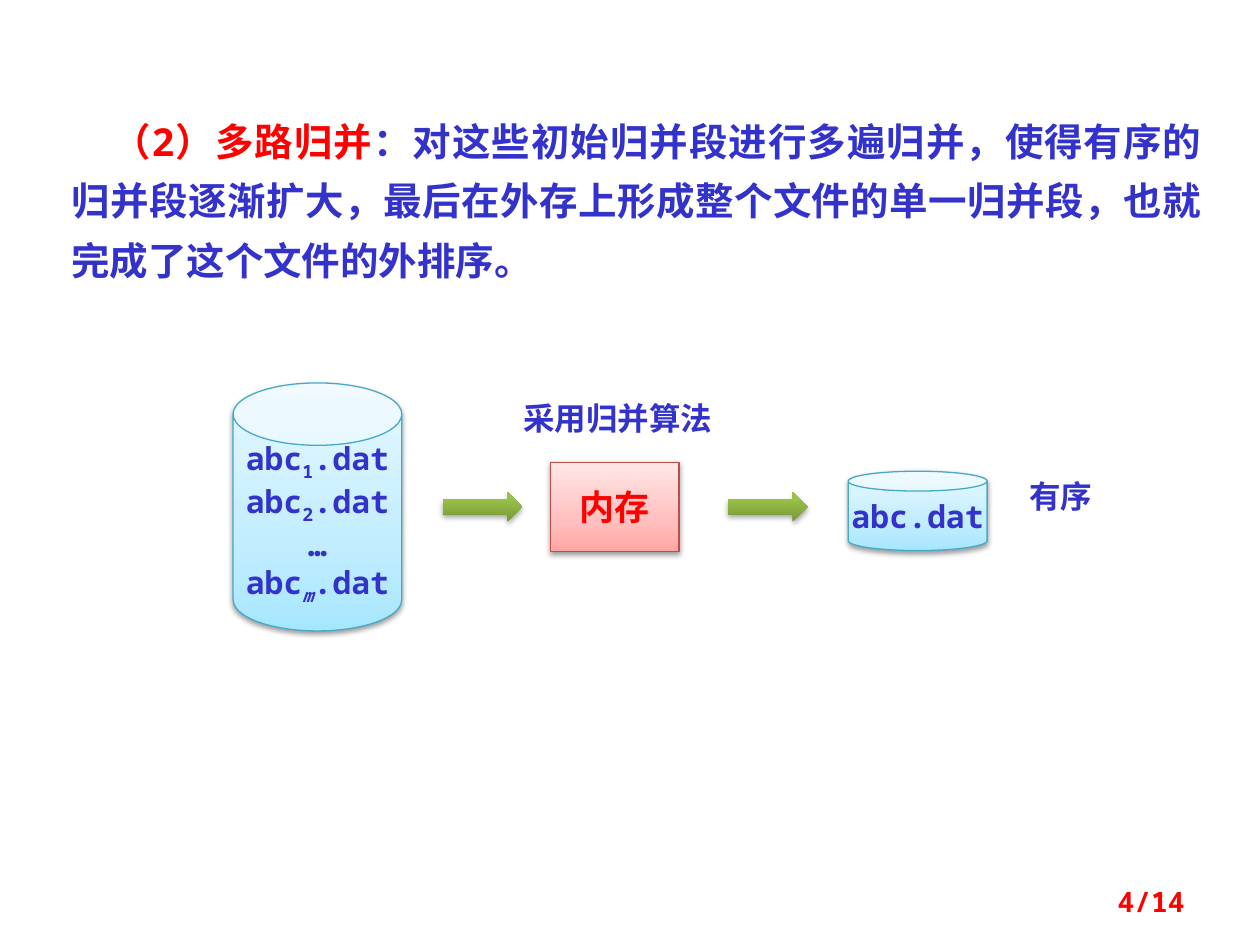
from lxml import etree
from pptx import Presentation
from pptx import util as u
from pptx.dml.color import RGBColor
from pptx.enum import shapes, text
from pptx.oxml import ns

FONT = "Noto Sans Mono"
COLORS = {"blue": "3333CC", "red": "FF0000", "memory_line": "BF4C48", "disk_line": "46AAC5"}
GRADIENTS = {
    "memory": [(0, "FFA6A5"), (35, "FFC0BF"), (100, "FFE7E7")],
    "disk": [(0, "A7E6FF"), (35, "C1EDFF"), (100, "E7F8FF")],
    "arrow": [(0, "779737"), (80, "9BC348"), (100, "9DC746")],
}


def add_span(para, content, size=18, color="blue", italic=False, baseline=0):
    span = para.add_run()
    span.text = content
    span.font.size = u.Pt(size)
    span.font.bold = True
    span.font.italic = italic
    span.font.name = FONT
    span.font.color.rgb = RGBColor.from_string(COLORS[color])
    properties = span.font._element
    etree.SubElement(properties, ns.qn("a:ea"), typeface=FONT)
    if baseline:
        properties.set("baseline", str(baseline * 1000))


def add_solid(page, kind, place, gradient, line=None, alpha=38, distance=20000):
    solid = page.shapes.add_shape(kind, *[u.Cm(n) for n in place])
    solid.fill.gradient()
    solid.fill.gradient_angle = 90
    properties = solid._element.spPr
    stops = properties.find(".//" + ns.qn("a:gsLst"))
    for stop in list(stops):
        stops.remove(stop)
    for position, color in GRADIENTS[gradient]:
        stop = etree.SubElement(stops, ns.qn("a:gs"), pos=str(position * 1000))
        etree.SubElement(stop, ns.qn("a:srgbClr"), val=color)
    if line:
        solid.line.color.rgb = RGBColor.from_string(COLORS[line])
        solid.line.width = u.Pt(0.75)
    else:
        solid.line.fill.background()
    solid.shadow.inherit = False
    shadow = etree.SubElement(
        properties.find(ns.qn("a:effectLst")), ns.qn("a:outerShdw"),
        blurRad="40000", dist=str(distance), dir="5400000", rotWithShape="0")
    black = etree.SubElement(shadow, ns.qn("a:srgbClr"), val="000000")
    etree.SubElement(black, ns.qn("a:alpha"), val=str(alpha * 1000))
    solid.text_frame.word_wrap = False
    solid.text_frame.vertical_anchor = text.MSO_ANCHOR.MIDDLE
    solid.text_frame.paragraphs[0].alignment = text.PP_ALIGN.CENTER
    return solid


deck = Presentation()
deck.slide_width, deck.slide_height = u.Cm(25.4), u.Cm(19.05)
page = deck.slides.add_slide(deck.slide_layouts[6])

box = page.shapes.add_textbox(u.Cm(1.19), u.Cm(1.98), u.Cm(23.29), u.Cm(3.89))
box.text_frame.word_wrap = True
para = box.text_frame.paragraphs[0]
para.alignment = text.PP_ALIGN.JUSTIFY
para.line_spacing = u.Pt(34)
para._p.get_or_add_pPr().set("indent", str(u.Cm(0.82)))
add_span(para, "（2）多路归并", size=22, color="red")
add_span(para, "：对这些初始归并段进行多遍归并，使得有序的归并段逐渐扩大，"
               "最后在外存上形成整个文件的单一归并段，也就完成了这个文件的外排序。", size=22)

memory = add_solid(page, shapes.MSO_SHAPE.RECTANGLE, (11.1, 9.32, 2.59, 1.8),
                   "memory", "memory_line")
add_span(memory.text_frame.paragraphs[0], "内存", size=20, color="red")

runs_disk = add_solid(page, shapes.MSO_SHAPE.CAN, (4.7, 7.72, 3.4, 5), "disk", "disk_line")
runs_disk.adjustments[0] = 0.37
for number, index in enumerate(["1", "2", "…", "m"]):
    frame = runs_disk.text_frame
    para = frame.add_paragraph() if number else frame.paragraphs[0]
    para.alignment = text.PP_ALIGN.CENTER
    if index == "…":
        add_span(para, index)
        continue
    add_span(para, "abc")
    add_span(para, index, italic=index == "m", baseline=-25)
    add_span(para, ".dat")

sorted_disk = add_solid(page, shapes.MSO_SHAPE.CAN, (17.1, 9.5, 2.8, 1.6), "disk", "disk_line")
sorted_disk.adjustments[0] = 0.25
add_span(sorted_disk.text_frame.paragraphs[0], "abc.dat")

for left, top, width, label in [(20.5, 9.5, 2.39, "有序"), (10.3, 7.92, 4.6, "采用归并算法")]:
    box = page.shapes.add_textbox(u.Cm(left), u.Cm(top), u.Cm(width), u.Cm(1.02))
    box.text_frame.word_wrap = True
    add_span(box.text_frame.paragraphs[0], label)

for left in (8.93, 14.68):
    add_solid(page, shapes.MSO_SHAPE.RIGHT_ARROW, (left, 9.92, 1.6, 0.6),
              "arrow", alpha=35, distance=23000)

box = page.shapes.add_textbox(u.Cm(18.21), u.Cm(17.65), u.Cm(5.92), u.Cm(1.02))
box.text_frame.word_wrap = True
box.text_frame.vertical_anchor = text.MSO_ANCHOR.MIDDLE
para = box.text_frame.paragraphs[0]
para.alignment = text.PP_ALIGN.RIGHT
add_span(para, "4/14", size=16, color="red")

deck.save("out.pptx")
